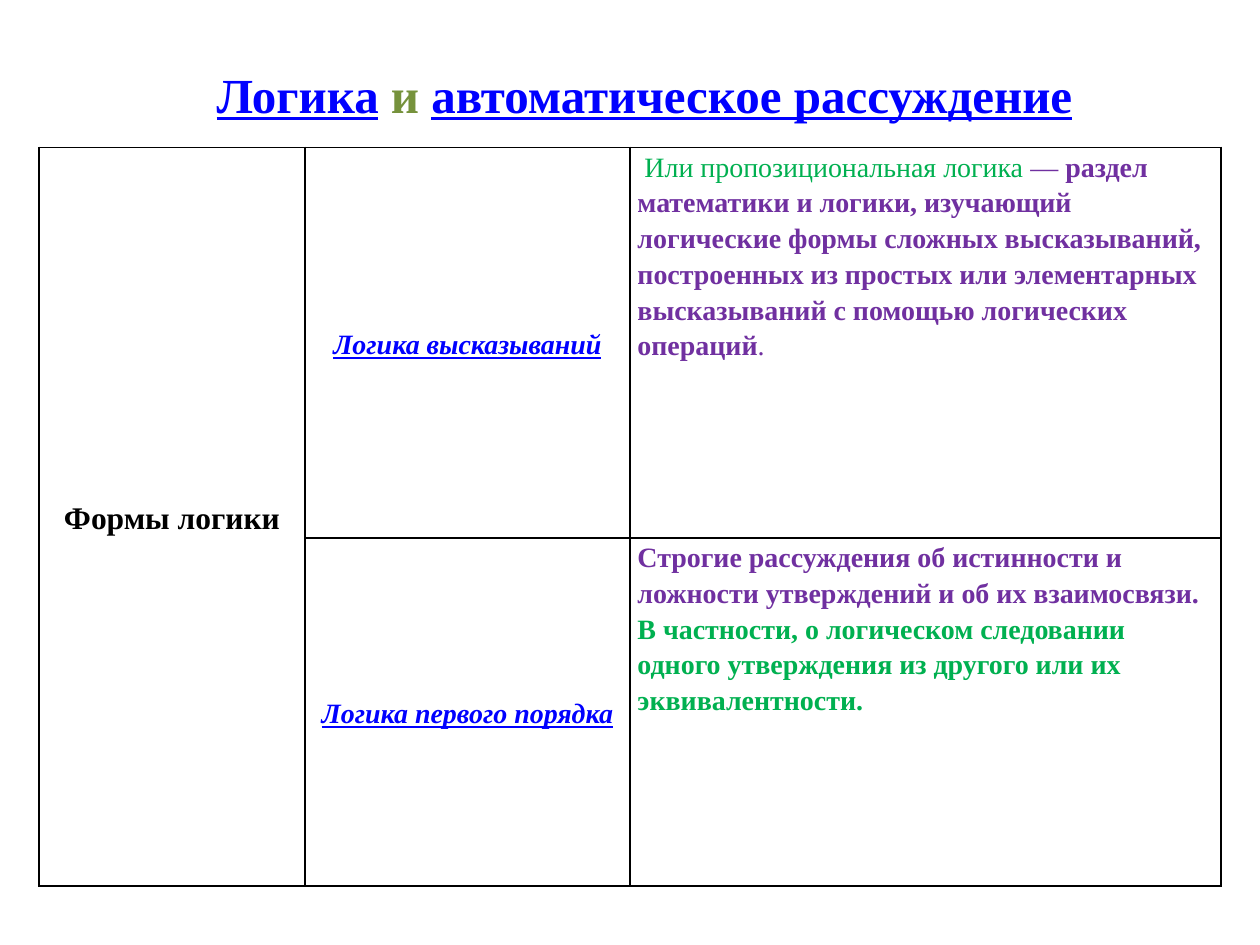
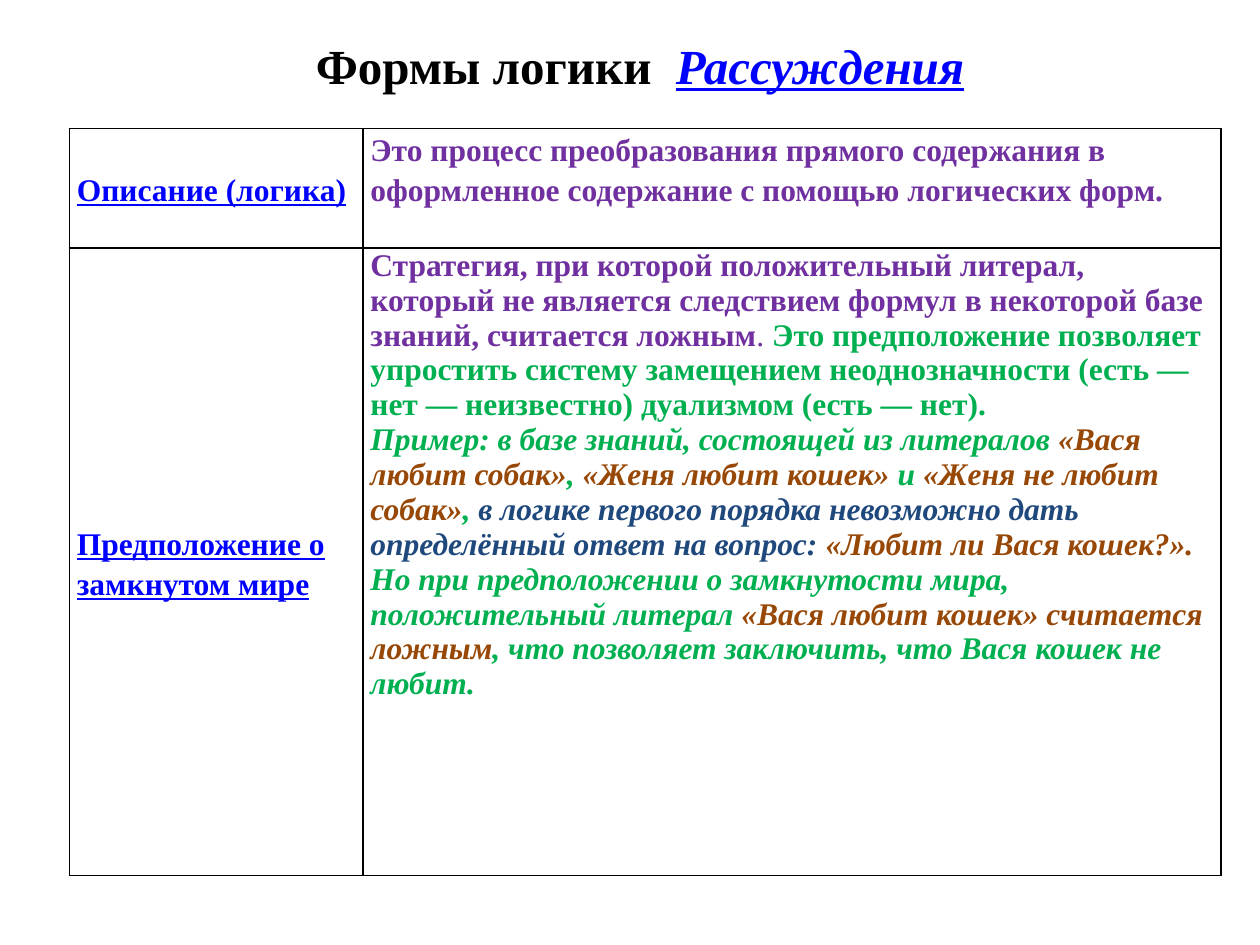
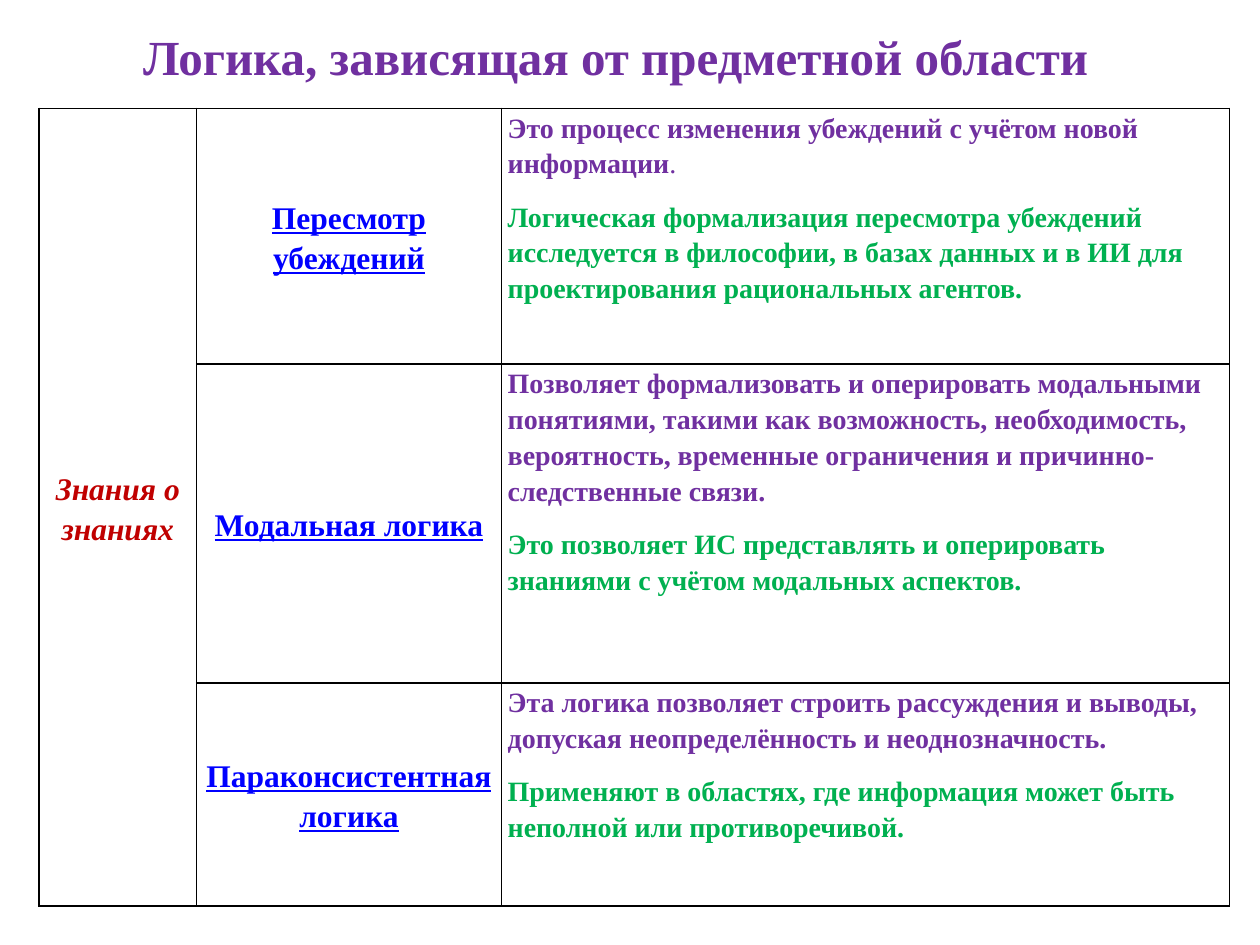
from dataclasses import dataclass
from typing import Optional

from lxml.etree import SubElement
from pptx import Presentation
from pptx.dml.color import RGBColor
from pptx.enum.text import MSO_ANCHOR, MSO_AUTO_SIZE, PP_ALIGN
from pptx.oxml.ns import qn
from pptx.util import Inches, Pt

FONT = "Times New Roman"
TITLE_SIZE = 28
TERM_SIZE = 18
TEXT_SIZE = 16
TITLE_ONLY_LAYOUT = 5
BLACK = RGBColor(0x00, 0x00, 0x00)
LINK_BLUE = RGBColor(0x00, 0x00, 0xFF)
PURPLE = RGBColor(0x70, 0x30, 0xA0)
GREEN = RGBColor(0x00, 0xB0, 0x50)
OLIVE = RGBColor(0x76, 0x92, 0x3C)
BROWN = RGBColor(0x98, 0x48, 0x06)
NAVY = RGBColor(0x1F, 0x49, 0x7D)
RED = RGBColor(0xC0, 0x00, 0x00)


@dataclass(frozen=True)
class Span:
    """A stretch of text in one format."""
    text: str
    color: RGBColor
    bold: bool = True
    italic: bool = False
    underline: bool = False


@dataclass(frozen=True)
class Entry:
    """The content of one table cell."""
    paragraphs: list[list[Span]]
    size: int = TEXT_SIZE
    anchor: MSO_ANCHOR = MSO_ANCHOR.TOP
    align: PP_ALIGN = PP_ALIGN.LEFT
    line_spacing: float = 1.15
    space_after: int = 10


@dataclass(frozen=True)
class Heading:
    """The title of a slide and its box in inches."""
    spans: list[Span]
    box: tuple[float, float, float, float]
    line_spacing: float = 1.0
    space_after: int = 0


@dataclass(frozen=True)
class Grid:
    """A bordered table; None continues the cell above."""
    left: float
    top: float
    columns: list[float]
    heights: list[float]
    margin: float
    rows: list[list[Optional[Entry]]]


def link(text: str, italic: bool = False) -> Span:
    """Return a term styled as a link."""
    return Span(text, LINK_BLUE, italic=italic, underline=True)


def term(span: Span, size: int = TERM_SIZE, align: PP_ALIGN = PP_ALIGN.CENTER,
         space_after: int = 10) -> Entry:
    """Return a vertically centred cell that names a term."""
    return Entry([[span]], size, MSO_ANCHOR.MIDDLE, align, space_after=space_after)


def example(text: str, color: RGBColor) -> Span:
    """Return a bold italic part of the worked example."""
    return Span(text, color, italic=True)


def write_paragraph(paragraph, spans: list[Span], size: int, align: PP_ALIGN,
                    line_spacing: float, space_after: int) -> None:
    """Fill a paragraph run by run."""
    paragraph.alignment = align
    paragraph.line_spacing = line_spacing
    paragraph.space_before = Pt(0)
    paragraph.space_after = Pt(space_after)
    for span in spans:
        run = paragraph.add_run()
        run.text = span.text
        run.font.name = FONT
        run.font.size = Pt(size)
        run.font.bold = span.bold
        run.font.italic = span.italic
        run.font.underline = span.underline
        run.font.color.rgb = span.color


def draw_heading(slide, heading: Heading) -> None:
    """Place and format the title placeholder."""
    title = slide.shapes.title
    title.left, title.top, title.width, title.height = map(Inches, heading.box)
    frame = title.text_frame
    frame.word_wrap = True
    frame.auto_size = MSO_AUTO_SIZE.NONE
    frame.vertical_anchor = MSO_ANCHOR.TOP
    write_paragraph(frame.paragraphs[0], heading.spans, TITLE_SIZE, PP_ALIGN.CENTER,
                    heading.line_spacing, heading.space_after)


def outline_cell(cell) -> None:
    """Give a cell thin black borders and no fill."""
    properties = cell._tc.get_or_add_tcPr()
    for side in ("a:lnL", "a:lnR", "a:lnT", "a:lnB"):
        border = SubElement(properties, qn(side), w=str(Pt(1)))
        fill = SubElement(border, qn("a:solidFill"))
        SubElement(fill, qn("a:srgbClr"), val=str(BLACK))
    cell.fill.background()


def write_cell(cell, entry: Entry) -> None:
    """Write the paragraphs of an entry into a cell."""
    cell.vertical_anchor = entry.anchor
    frame = cell.text_frame
    for index, spans in enumerate(entry.paragraphs):
        paragraph = frame.add_paragraph() if index else frame.paragraphs[0]
        write_paragraph(paragraph, spans, entry.size, entry.align,
                        entry.line_spacing, entry.space_after)


def draw_grid(slide, grid: Grid) -> None:
    """Draw the table and merge the continued cells."""
    table = slide.shapes.add_table(
        len(grid.heights), len(grid.columns), Inches(grid.left), Inches(grid.top),
        Inches(sum(grid.columns)), Inches(sum(grid.heights))).table
    table.first_row = False
    table.horz_banding = False
    for column, width in zip(table.columns, grid.columns):
        column.width = Inches(width)
    for row, height in zip(table.rows, grid.heights):
        row.height = Inches(height)
    for row_index, entries in enumerate(grid.rows):
        for column_index, entry in enumerate(entries):
            cell = table.cell(row_index, column_index)
            cell.margin_left = cell.margin_right = Inches(grid.margin)
            cell.margin_top = cell.margin_bottom = 0
            outline_cell(cell)
            if entry:
                write_cell(cell, entry)
    if grid.rows[-1][0] is None:
        table.cell(0, 0).merge(table.cell(len(grid.rows) - 1, 0))


REASONING = (
    Heading([link("Логика"), Span(" и ", OLIVE), link("автоматическое рассуждение")],
            (1.56, 0.39, 7.11, 0.61), 1.15, 10),
    Grid(0.31, 1.17, [2.11, 2.58, 4.69], [3.1, 2.76], 0.06, [
        [term(Span("Формы логики", BLACK)),
         term(link("Логика высказываний", italic=True), TEXT_SIZE),
         Entry([[
             Span(" ", PURPLE, bold=False),
             Span("Или пропозициональная логика", GREEN, bold=False),
             Span(" — ", PURPLE, bold=False),
             Span("раздел математики и логики, изучающий логические формы сложных "
                  "высказываний, построенных из простых или элементарных высказываний "
                  "с помощью логических операций", PURPLE),
             Span(".", PURPLE, bold=False)]])],
        [None,
         term(link("Логика первого порядка", italic=True), TEXT_SIZE, space_after=0),
         Entry([[
             Span("Строгие рассуждения об истинности и ложности утверждений и об их "
                  "взаимосвязи. ", PURPLE),
             Span("В частности, о логическом следовании одного утверждения из другого "
                  "или их эквивалентности.", GREEN)]], space_after=0)],
    ]),
)

LOGIC_FORMS = (
    Heading([Span("Формы логики  ", BLACK), link("Рассуждения", italic=True)],
            (0.86, 0.23, 8.44, 0.57)),
    Grid(0.55, 1.02, [2.33, 6.81], [0.95, 4.98], 0.06, [
        [term(link("Описание (логика)"), align=PP_ALIGN.LEFT),
         Entry([[Span("Это процесс преобразования прямого содержания в оформленное "
                      "содержание с помощью логических форм.", PURPLE)]], TERM_SIZE)],
        [term(link("Предположение о замкнутом мире"), align=PP_ALIGN.LEFT),
         Entry([
             [Span("Стратегия, при которой положительный литерал, который не является "
                   "следствием формул в некоторой базе знаний, считается ложным", PURPLE),
              Span(". ", PURPLE, bold=False),
              Span("Это предположение позволяет упростить систему замещением "
                   "неоднозначности (есть — нет — неизвестно) дуализмом (есть — нет).",
                   GREEN)],
             [example("Пример: в базе знаний, состоящей из литералов ", GREEN),
              example("«Вася любит собак»", BROWN),
              example(", ", GREEN),
              example("«Женя любит кошек»", BROWN),
              example(" и ", GREEN),
              example("«Женя не любит собак»", BROWN),
              example(", ", GREEN),
              example("в логике первого порядка невозможно дать определённый ответ "
                      "на вопрос: ", NAVY),
              example("«Любит ли Вася кошек?». ", BROWN),
              example("Но при предположении о замкнутости мира, положительный литерал ",
                      GREEN),
              example("«Вася любит кошек» считается ложным", BROWN),
              example(", что позволяет заключить, что Вася кошек не любит.", GREEN)],
         ], TERM_SIZE, line_spacing=1.0, space_after=0)],
    ]),
)

DOMAIN_LOGIC = (
    Heading([Span("Логика, зависящая от предметной области", PURPLE)],
            (0.94, 0.16, 7.89, 0.57)),
    Grid(0.31, 0.86, [1.25, 2.42, 5.78], [2.03, 2.53, 1.77], 0.05, [
        [term(Span("Знания о знаниях", RED, italic=True)),
         term(link("Пересмотр убеждений")),
         Entry([
             [Span("Это процесс изменения убеждений с учётом новой информации", PURPLE),
              Span(".", PURPLE, bold=False)],
             [Span("Логическая формализация пересмотра убеждений исследуется в "
                   "философии, в базах данных и в ИИ для проектирования рациональных "
                   "агентов.", GREEN)]])],
        [None,
         term(link("Модальная логика")),
         Entry([
             [Span("Позволяет формализовать и оперировать модальными понятиями, такими "
                   "как возможность, необходимость, вероятность, временные ограничения "
                   "и причинно-следственные связи.", PURPLE)],
             [Span("Это позволяет ИС представлять и оперировать знаниями с учётом "
                   "модальных аспектов.", GREEN)]])],
        [None,
         term(link("Параконсистентная логика")),
         Entry([
             [Span("Эта логика позволяет строить рассуждения и выводы, допуская "
                   "неопределённость и неоднозначность.", PURPLE)],
             [Span("Применяют в областях, где информация может быть неполной или "
                   "противоречивой.", GREEN)]])],
    ]),
)


def main() -> None:
    """Build the three slides and save them."""
    deck = Presentation()
    deck.slide_width, deck.slide_height = Inches(10), Inches(7.5)
    for heading, grid in (REASONING, LOGIC_FORMS, DOMAIN_LOGIC):
        slide = deck.slides.add_slide(deck.slide_layouts[TITLE_ONLY_LAYOUT])
        draw_heading(slide, heading)
        draw_grid(slide, grid)
    deck.save("out.pptx")


if __name__ == "__main__":
    main()
